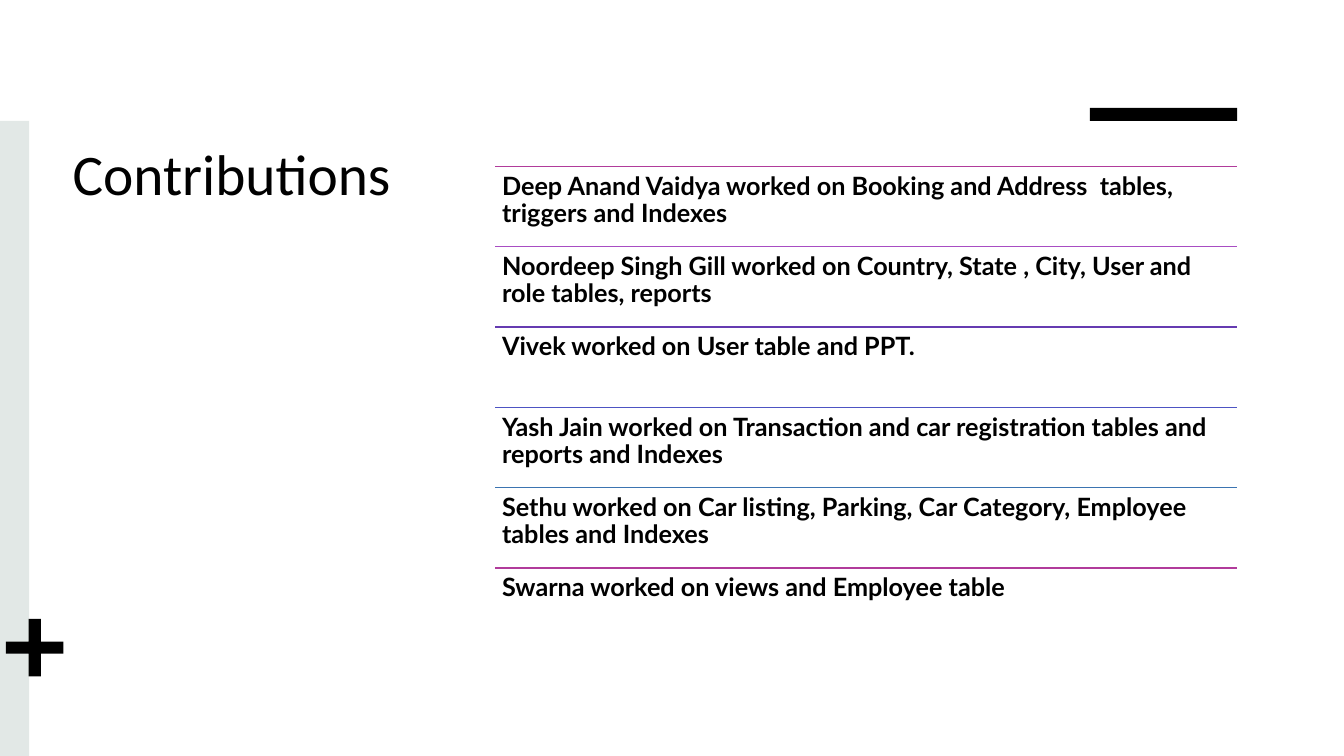
import pptx
import pptx.dml.color
import pptx.enum.shapes
import pptx.enum.text
import pptx.oxml.ns
import pptx.util
from lxml import etree

Inches = pptx.util.Inches
SHAPES = pptx.enum.shapes.MSO_SHAPE
TOP = pptx.enum.text.MSO_ANCHOR.TOP
LEFT = pptx.enum.text.PP_ALIGN.LEFT

INK = "000000"
PALE = "E2E8E6"
ROWS = [
    ("B13B9B", "Deep Anand Vaidya worked on Booking and Address  tables, triggers and Indexes"),
    ("A84DC3", "Noordeep Singh Gill worked on Country, State , City, User and role tables, reports"),
    ("653BB1", "Vivek worked on User table and PPT."),
    ("4D54C3", "Yash Jain worked on Transaction and car registration tables and reports and Indexes"),
    ("3B74B1", "Sethu worked on Car listing, Parking, Car Category, Employee tables and Indexes"),
    ("B13B9B", "Swarna worked on views and Employee table"),
]
ROW_LEFT, ROW_TOP, ROW_WIDTH, ROW_STEP = 4.91, 1.65, 7.36, 0.797


def color(code):
    return pptx.dml.color.RGBColor.from_string(code)


def apply(target, values):
    """Set each named attribute of the target."""
    for name, value in values.items():
        setattr(target, name, value)


def place(shape, left, top, width, height):
    apply(shape, {"left": Inches(left), "top": Inches(top),
                  "width": Inches(width), "height": Inches(height)})


def write(shape, text, inset, spacing, font):
    """Fill a shape with one black, top-left paragraph."""
    frame = shape.text_frame
    frame.text = text
    sides = ("left", "top", "right", "bottom")
    apply(frame, {f"margin_{side}": Inches(gap) for side, gap in zip(sides, inset)})
    apply(frame, {"word_wrap": True, "vertical_anchor": TOP,
                  "auto_size": pptx.enum.text.MSO_AUTO_SIZE.NONE})
    line = frame.paragraphs[0]
    apply(line, {"alignment": LEFT, "line_spacing": spacing})
    run = line.runs[0]
    apply(run.font, font)
    run.font.color.rgb = color(INK)


def add_block(slide, kind, box, fill):
    shape = slide.shapes.add_shape(kind, *map(Inches, box))
    shape.shadow.inherit = False
    shape.fill.solid()
    shape.fill.fore_color.rgb = color(fill)
    shape.line.fill.background()
    return shape


def add_rule(slide, left, top, width, code):
    rule = slide.shapes.add_connector(
        pptx.enum.shapes.MSO_CONNECTOR.STRAIGHT,
        Inches(left), Inches(top), Inches(left + width), Inches(top))
    rule.line.color.rgb = color(code)
    rule.line.width = pptx.util.Pt(1)
    etree.SubElement(rule._element.spPr, pptx.oxml.ns.qn("a:effectLst"))


def add_row(slide, top, code, text):
    add_rule(slide, ROW_LEFT, top, ROW_WIDTH, code)
    box = slide.shapes.add_textbox(0, 0, 0, 0)
    place(box, ROW_LEFT, top, ROW_WIDTH, ROW_STEP)
    write(box, text, [0.07] * 4, 0.9,
          {"name": "Lato", "size": pptx.util.Pt(18), "bold": True})


def main():
    deck = pptx.Presentation()
    apply(deck, {"slide_width": Inches(13.33), "slide_height": Inches(7.5)})
    slide = deck.slides.add_slide(deck.slide_layouts[5])

    title = slide.shapes.title
    place(title, 0.62, 1.32, 3.5, 4.75)
    write(title, "Contributions", (0.1, 0.05, 0.1, 0.05), 1.0,
          {"name": "Calibri", "size": pptx.util.Pt(41), "bold": False})

    add_block(slide, SHAPES.RECTANGLE, (10.81, 1.07, 1.46, 0.13), INK)
    add_block(slide, SHAPES.RECTANGLE, (0, 1.2, 0.29, 6.3), PALE)
    plus = add_block(slide, SHAPES.CROSS, (0.06, 6.14, 0.57, 0.57), INK)
    plus.adjustments[0] = 0.395

    for index, (code, text) in enumerate(ROWS):
        add_row(slide, ROW_TOP + index * ROW_STEP, code, text)

    deck.save("out.pptx")


if __name__ == "__main__":
    main()
